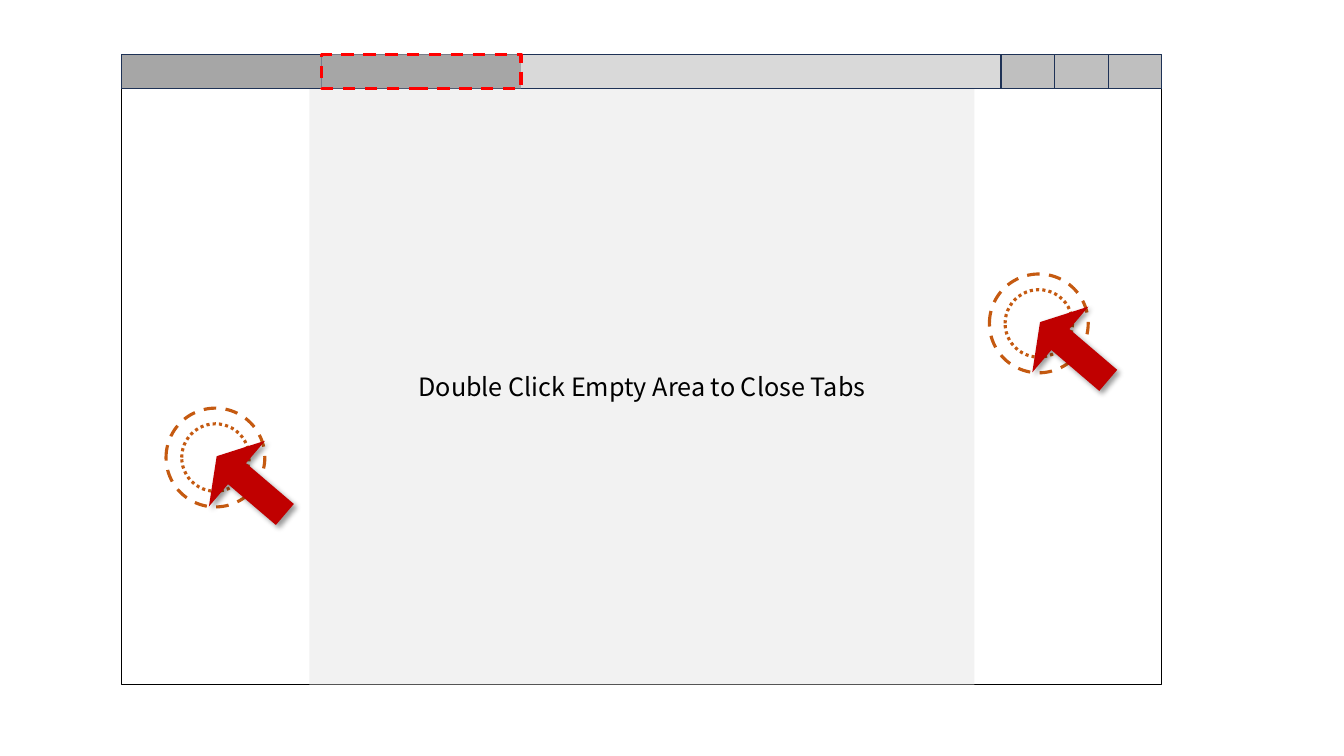
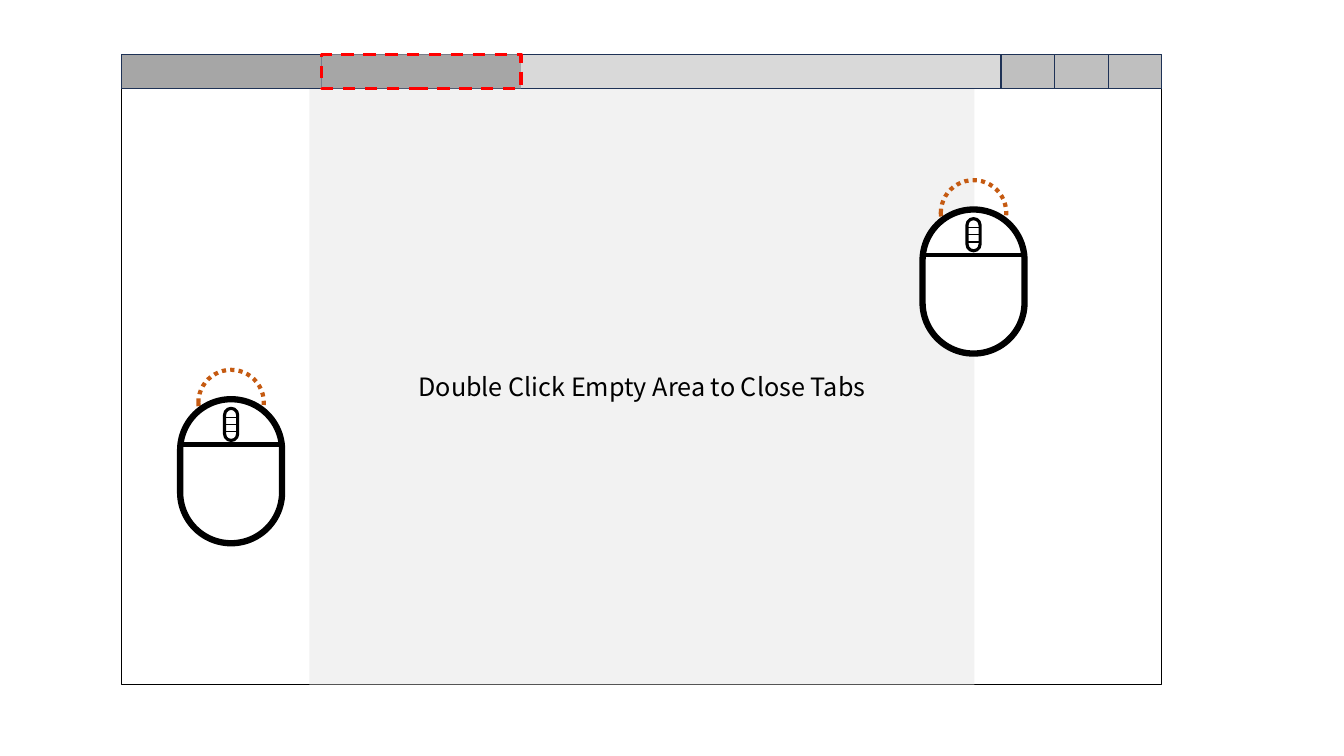
import lxml.etree
import pptx
import pptx.dml.color
import pptx.enum.dml
import pptx.enum.shapes
import pptx.enum.text
import pptx.oxml.ns
import pptx.util

Cm = pptx.util.Cm
Pt = pptx.util.Pt
qn = pptx.oxml.ns.qn
RGB = pptx.dml.color.RGBColor.from_string
SHAPE = pptx.enum.shapes.MSO_SHAPE
DASH = pptx.enum.dml.MSO_LINE
STRAIGHT = pptx.enum.shapes.MSO_CONNECTOR.STRAIGHT

COLORS = {
    "white": "FFFFFF",
    "black": "000000",
    "page": "F2F2F2",
    "bar": "D9D9D9",
    "button": "BFBFBF",
    "tab": "A6A6A6",
    "navy": "1E3256",
    "red": "FF0000",
    "click": "C55A11",
    "pointer": "C00000",
}
FONT = "Noto Sans CJK SC"

# Browser window, in cm
WIN_X, WIN_Y, WIN_W, WIN_H = 3.07, 1.37, 26.21, 15.88
BAR_H = 0.86
TAB_W = 5.03
BUTTON_W = 1.35
PAGE_X, PAGE_W = 7.8, 16.76


def add_box(shapes, kind, x, y, w, h, fill=None, line=None, width=1, dash=None):
    """Add a preset shape, placed in cm; fill and line are keys of COLORS."""
    sp = shapes.add_shape(kind, Cm(x), Cm(y), Cm(w), Cm(h))
    sp.shadow.inherit = False
    if fill:
        sp.fill.solid()
        sp.fill.fore_color.rgb = RGB(COLORS[fill])
    else:
        sp.fill.background()
    if line:
        sp.line.color.rgb = RGB(COLORS[line])
        sp.line.width = Pt(width)
        if dash:
            sp.line.dash_style = dash
    else:
        sp.line.fill.background()
    return sp


def set_text(sp, text, size=18, color="black", font=FONT):
    tf = sp.text_frame
    tf.word_wrap = True
    tf.vertical_anchor = pptx.enum.text.MSO_ANCHOR.MIDDLE
    p = tf.paragraphs[0]
    p.alignment = pptx.enum.text.PP_ALIGN.CENTER
    r = p.add_run()
    r.text = text
    r.font.size = Pt(size)
    r.font.name = font
    r.font.color.rgb = RGB(COLORS[color])


prs = pptx.Presentation()
prs.slide_width, prs.slide_height = Cm(33.87), Cm(19.05)
blank = prs.slide_layouts[6]
click_slide, mouse_slide = [prs.slides.add_slide(blank) for _ in range(2)]

# Browser window on both slides
for s in (click_slide, mouse_slide):
    window = s.shapes.add_group_shape().shapes
    add_box(window, SHAPE.RECTANGLE, WIN_X, WIN_Y, WIN_W, WIN_H, "white", "black")
    page = add_box(window, SHAPE.RECTANGLE, PAGE_X, WIN_Y + BAR_H,
                   PAGE_W, WIN_H - BAR_H, "page")
    set_text(page, "Double Click Empty Area to Close Tabs")
    add_box(window, SHAPE.RECTANGLE, WIN_X, WIN_Y, WIN_W, BAR_H, "bar", "navy")
    for i in range(1, 4):
        add_box(window, SHAPE.RECTANGLE, WIN_X + WIN_W - i * BUTTON_W, WIN_Y,
                BUTTON_W, BAR_H, "button", "navy")
    add_box(window, SHAPE.RECTANGLE, WIN_X, WIN_Y, TAB_W, BAR_H, "tab", "navy")
    add_box(window, SHAPE.RECTANGLE, WIN_X + TAB_W, WIN_Y, TAB_W, BAR_H,
            "tab", "red", 2.25, DASH.DASH)

# Slide 1: clicking pointers, placed by the centre of their rings
for cx, cy in ((5.43, 11.53), (26.18, 8.15)):
    pointer = click_slide.shapes.add_group_shape().shapes
    for d, dash in ((1.7, DASH.ROUND_DOT), (2.49, DASH.DASH)):
        add_box(pointer, SHAPE.OVAL, cx - d / 2, cy - d / 2, d, d,
                line="click", width=2.25, dash=dash)
    arrow = add_box(pointer, SHAPE.UP_ARROW, cx - 0.2, cy - 0.43, 2.18, 2.26, "pointer")
    arrow.rotation = 310.5
    arrow.adjustments[0] = 0.32
    arrow.adjustments[1] = 0.31
    effects = arrow._element.spPr.find(qn("a:effectLst"))
    shadow = lxml.etree.SubElement(
        effects, qn("a:outerShdw"), blurRad=str(Pt(4)), dist=str(Pt(3)),
        dir="2700000", algn="tl", rotWithShape="0")
    shade = lxml.etree.SubElement(shadow, qn("a:srgbClr"), val=COLORS["black"])
    lxml.etree.SubElement(shade, qn("a:alpha"), val="40000")

# Slide 2: mice, placed by the top left corner of their bodies
BODY_W, BODY_H = 2.57, 3.63
WHEEL_W, WHEEL_H = 0.33, 0.81
RING_D = 1.65
NOTCH_GAP = 0.18
for x, y in ((4.54, 10.06), (23.25, 5.28)):
    mouse = mouse_slide.shapes.add_group_shape().shapes
    add_box(mouse, SHAPE.OVAL, x + (BODY_W - RING_D) / 2, y - 0.74, RING_D, RING_D,
            line="click", width=3, dash=DASH.ROUND_DOT)
    body = add_box(mouse, SHAPE.ROUNDED_RECTANGLE, x, y, BODY_W, BODY_H,
                   "white", "black", 4.5)
    wheel_x, wheel_y = x + (BODY_W - WHEEL_W) / 2, y + 0.23
    wheel = add_box(mouse, SHAPE.ROUNDED_RECTANGLE, wheel_x, wheel_y,
                    WHEEL_W, WHEEL_H, line="black", width=2.25)
    body.adjustments[0] = wheel.adjustments[0] = 0.5

    middle = wheel_y + WHEEL_H / 2
    strokes = [(x, y + 1.14, BODY_W, 3)]
    strokes += [(wheel_x, middle + i * NOTCH_GAP, WHEEL_W, 1) for i in (-1, 0, 1)]
    for left, top, length, width in strokes:
        stroke = mouse.add_connector(STRAIGHT, Cm(left), Cm(top),
                                     Cm(left + length), Cm(top))
        stroke.line.color.rgb = RGB(COLORS["black"])
        stroke.line.width = Pt(width)
        lxml.etree.SubElement(stroke._element.spPr, qn("a:effectLst"))
        if top == middle:
            stroke.begin_connect(wheel, 1)
            stroke.end_connect(wheel, 3)

prs.save("out.pptx")
